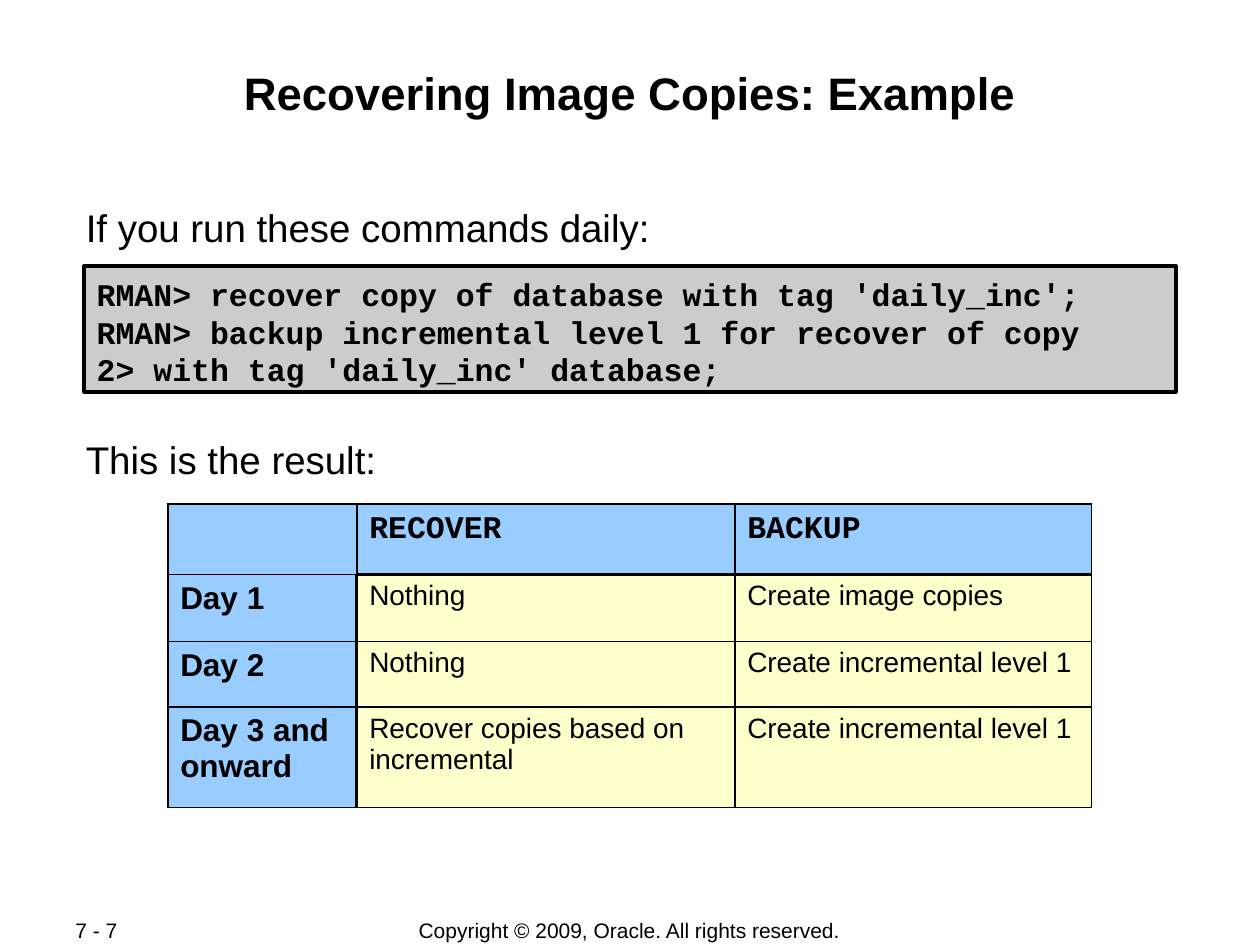
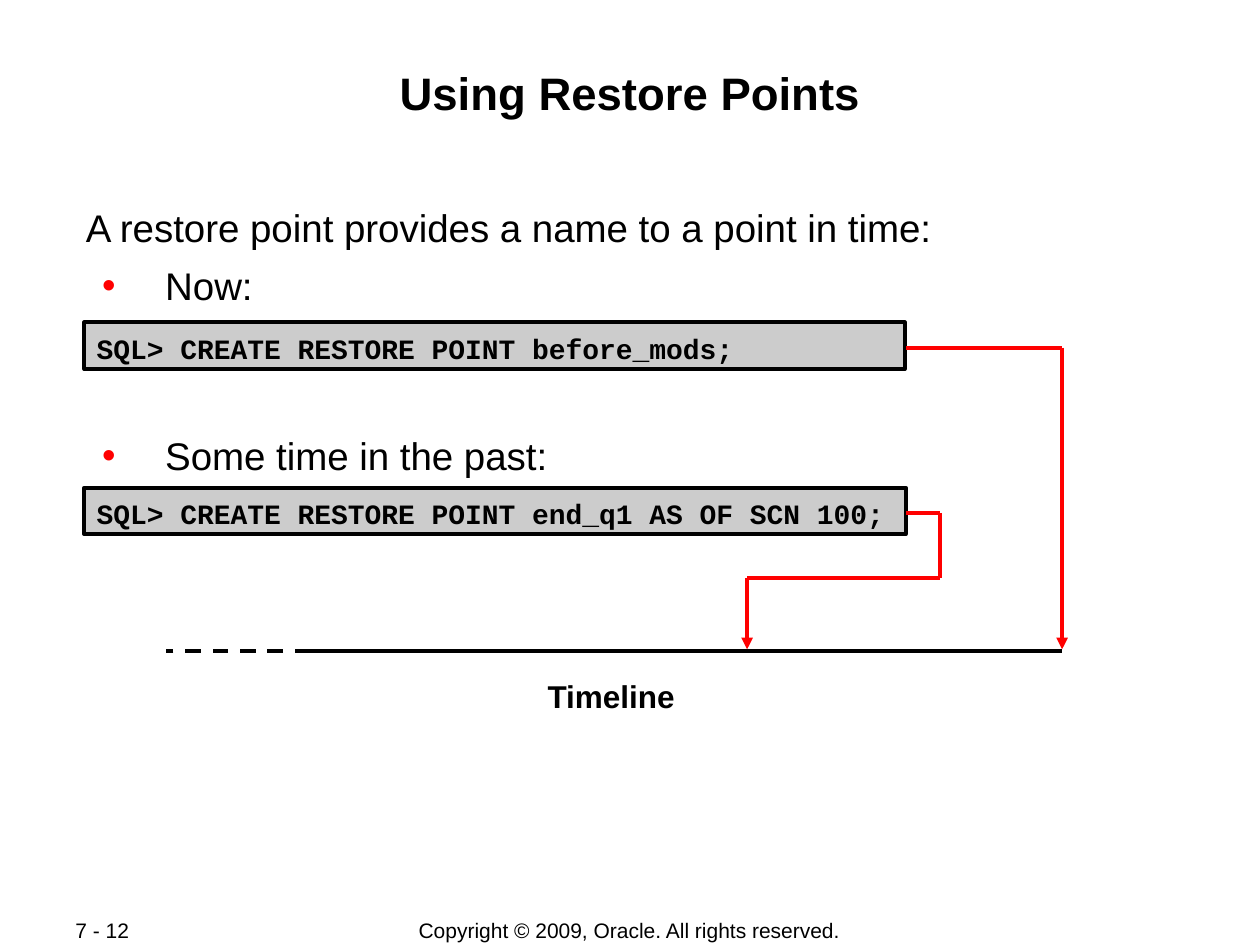
"""Build two slides on recovering image copies and using restore points."""
from lxml import etree
from pptx import Presentation
from pptx.dml.color import RGBColor
from pptx.enum.dml import MSO_LINE
from pptx.enum.shapes import MSO_CONNECTOR, MSO_SHAPE
from pptx.enum.text import MSO_ANCHOR, MSO_AUTO_SIZE, PP_ALIGN
from pptx.oxml.ns import qn
from pptx.util import Cm, Pt

LEFT, CENTER = PP_ALIGN.LEFT, PP_ALIGN.CENTER
TOP, MIDDLE = MSO_ANCHOR.TOP, MSO_ANCHOR.MIDDLE
NO_AUTOFIT = MSO_AUTO_SIZE.NONE
RECTANGLE, STRAIGHT, DASH = MSO_SHAPE.RECTANGLE, MSO_CONNECTOR.STRAIGHT, MSO_LINE.DASH

COLORS = {
    "text": "000000",
    "code": "CCCCCC",
    "header": "99CCFF",
    "cell": "FFFFCC",
    "accent": "FF0000",
}
SANS, MONO = "Arial", "Courier New"
MARGIN, CONTENT_WIDTH = 1.7, 22.0
COPYRIGHT = "Copyright © 2009, Oracle. All rights reserved."


def write_text(text_frame, text, size, font=SANS, bold=False, alignment=LEFT):
    """Put text in a frame and format every paragraph alike."""
    text_frame.text = text
    for paragraph in text_frame.paragraphs:
        paragraph.alignment = alignment
        paragraph.space_before = Pt(0)
        if font == MONO:
            paragraph.line_spacing = Pt(size * 1.2)
        for run in paragraph.runs:
            run.font.size = Pt(size)
            run.font.name = font
            run.font.bold = bold
            run.font.color.rgb = RGBColor.from_string(COLORS["text"])


def place(shape, left, top, width, height, side=0.03, above=0.1, anchor=TOP):
    """Set the box of a shape and the insets of its text."""
    shape.left, shape.top = Cm(left), Cm(top)
    shape.width, shape.height = Cm(width), Cm(height)
    text_frame = shape.text_frame
    text_frame.word_wrap = True
    text_frame.auto_size = NO_AUTOFIT
    text_frame.vertical_anchor = anchor
    text_frame.margin_left = text_frame.margin_right = Cm(side)
    text_frame.margin_top = Cm(above)
    text_frame.margin_bottom = Cm(0.03)


presentation = Presentation()
presentation.slide_width, presentation.slide_height = Cm(25.4), Cm(19.05)

pages = [
    {
        "number": "7 - 7",
        "title": "Recovering Image Copies: Example",
        "body": "If you run these commands daily:",
        "body_height": 1.0,
        "code": [(5.36, CONTENT_WIDTH, 2.54, 18,
                  "RMAN> recover copy of database with tag 'daily_inc';\n"
                  "RMAN> backup incremental level 1 for recover of copy\n"
                  "2> with tag 'daily_inc' database;")],
        "label": ("This is the result:", MARGIN, 8.69, CONTENT_WIDTH, 22, False, LEFT),
    },
    {
        "number": "7 - 12",
        "title": "Using Restore Points",
        "body": "A restore point provides a name to a point in time:\n"
                "Now:\nSome time in the past:",
        "body_height": 5.51,
        "code": [(6.5, 16.54, 0.94, 16, "SQL> CREATE RESTORE POINT before_mods;"),
                 (9.83, 16.56, 0.94, 16,
                  "SQL> CREATE RESTORE POINT end_q1 AS OF SCN 100;")],
        "label": ("Timeline", 7.42, 13.54, 9.8, 18, True, CENTER),
    },
]

slides = []
for page in pages:
    slide = presentation.slides.add_slide(presentation.slide_layouts[1])
    slides.append(slide)

    title = slide.shapes.title
    place(title, MARGIN, 1.22, CONTENT_WIDTH, 2.44)
    write_text(title.text_frame, page["title"], 26, bold=True, alignment=CENTER)

    body = slide.placeholders[1]
    place(body, MARGIN, 4.02, CONTENT_WIDTH, page["body_height"])
    write_text(body.text_frame, page["body"], 22)
    intro, *bullets = body.text_frame.paragraphs
    properties = intro._p.get_or_add_pPr()
    properties.set("marL", "0")
    properties.set("indent", "0")
    etree.SubElement(properties, qn("a:buNone"))
    for paragraph, gap in zip(bullets, (6.7, 70.7)):
        paragraph.level = 1
        paragraph.space_before = Pt(gap)
        properties = paragraph._p.get_or_add_pPr()
        properties.set("marL", str(Cm(1.6)))
        properties.set("indent", str(Cm(-1.27)))
        bullet_color = etree.SubElement(properties, qn("a:buClr"))
        etree.SubElement(bullet_color, qn("a:srgbClr"), val=COLORS["accent"])
        etree.SubElement(properties, qn("a:buFont"), typeface=SANS)
        etree.SubElement(properties, qn("a:buChar"), char="•")

    for top, width, height, size, code in page["code"]:
        code_box = slide.shapes.add_shape(RECTANGLE, 0, 0, 0, 0)
        code_box.shadow.inherit = False
        code_box.fill.solid()
        code_box.fill.fore_color.rgb = RGBColor.from_string(COLORS["code"])
        code_box.line.color.rgb = RGBColor.from_string(COLORS["text"])
        code_box.line.width = Pt(2.25)
        place(code_box, MARGIN, top, width, height, side=0.25, above=0.18)
        write_text(code_box.text_frame, code, size, MONO, True)

    text, left, top, width, size, bold, alignment = page["label"]
    label = slide.shapes.add_textbox(0, 0, 0, 0)
    place(label, left, top, width, 0.95)
    write_text(label.text_frame, text, size, bold=bold, alignment=alignment)

    for text, left, width, alignment in (
        (COPYRIGHT, 6.99, 11.4, CENTER),
        (page["number"], 1.27, 2.69, LEFT),
    ):
        footer = slide.shapes.add_textbox(0, 0, 0, 0)
        place(footer, left, 18.49, width, 0.53, side=0.25, above=0.03, anchor=MIDDLE)
        write_text(footer.text_frame, text, 12, alignment=alignment)

recovery_slide, restore_slide = slides

schedule = [
    ("", "RECOVER", "BACKUP"),
    ("Day 1", "Nothing", "Create image copies"),
    ("Day 2", "Nothing", "Create incremental level 1"),
    ("Day 3 and onward", "Recover copies based on incremental",
     "Create incremental level 1"),
]
table = recovery_slide.shapes.add_table(
    4, 3, Cm(3.38), Cm(10.16), Cm(18.62), Cm(6.12)).table
table.first_row = table.horz_banding = False
for column, width in zip(table.columns, (3.81, 7.62, 7.19)):
    column.width = Cm(width)
for row, height in zip(table.rows, (1.42, 1.35, 1.32, 2.03)):
    row.height = Cm(height)
for row_index, texts in enumerate(schedule):
    for column_index, text in enumerate(texts):
        cell = table.cell(row_index, column_index)
        is_header = row_index == 0 or column_index == 0
        thick_sides = {
            "lnL": row_index > 0 and column_index == 1,
            "lnR": row_index > 0 and column_index == 0,
            "lnT": row_index == 1 and column_index > 0,
            "lnB": row_index == 0 and column_index > 0,
        }
        properties = cell._tc.get_or_add_tcPr()
        for side, thick in thick_sides.items():
            border = etree.SubElement(
                properties, qn(f"a:{side}"), w=str(Pt(2.21 if thick else 1.08)))
            border_fill = etree.SubElement(border, qn("a:solidFill"))
            etree.SubElement(border_fill, qn("a:srgbClr"), val=COLORS["text"])
        cell.fill.solid()
        cell.fill.fore_color.rgb = RGBColor.from_string(
            COLORS["header" if is_header else "cell"])
        write_text(cell.text_frame, text, 18 if is_header else 16,
                   SANS if row_index else MONO, is_header)

now_x, past_x, bend_x = 21.41, 15.06, 18.95
now_y, past_y, bend_y, timeline_y = 7.01, 10.34, 11.66, 13.13
code_right, dash_end = 18.27, 6.26
routes = [
    ("text", False, [(dash_end, timeline_y), (now_x, timeline_y)]),
    ("text", True, [(dash_end, timeline_y), (3.35, timeline_y)]),
    ("accent", False, [(code_right, now_y), (now_x, now_y), (now_x, 13.09)]),
    ("accent", False, [(code_right, past_y), (bend_x, past_y), (bend_x, bend_y),
                       (past_x, bend_y), (past_x, 13.09)]),
]
for color, dashed, points in routes:
    for start, end in zip(points, points[1:]):
        connector = restore_slide.shapes.add_connector(
            STRAIGHT, *(Cm(value) for value in start + end))
        connector.line.color.rgb = RGBColor.from_string(COLORS[color])
        connector.line.width = Pt(2.25)
        if dashed:
            connector.line.dash_style = DASH
        if color == "accent" and end == points[-1]:
            etree.SubElement(connector.line._get_or_add_ln(), qn("a:tailEnd"),
                             type="triangle")
        etree.SubElement(connector._element.spPr, qn("a:effectLst"))

presentation.save("out.pptx")
